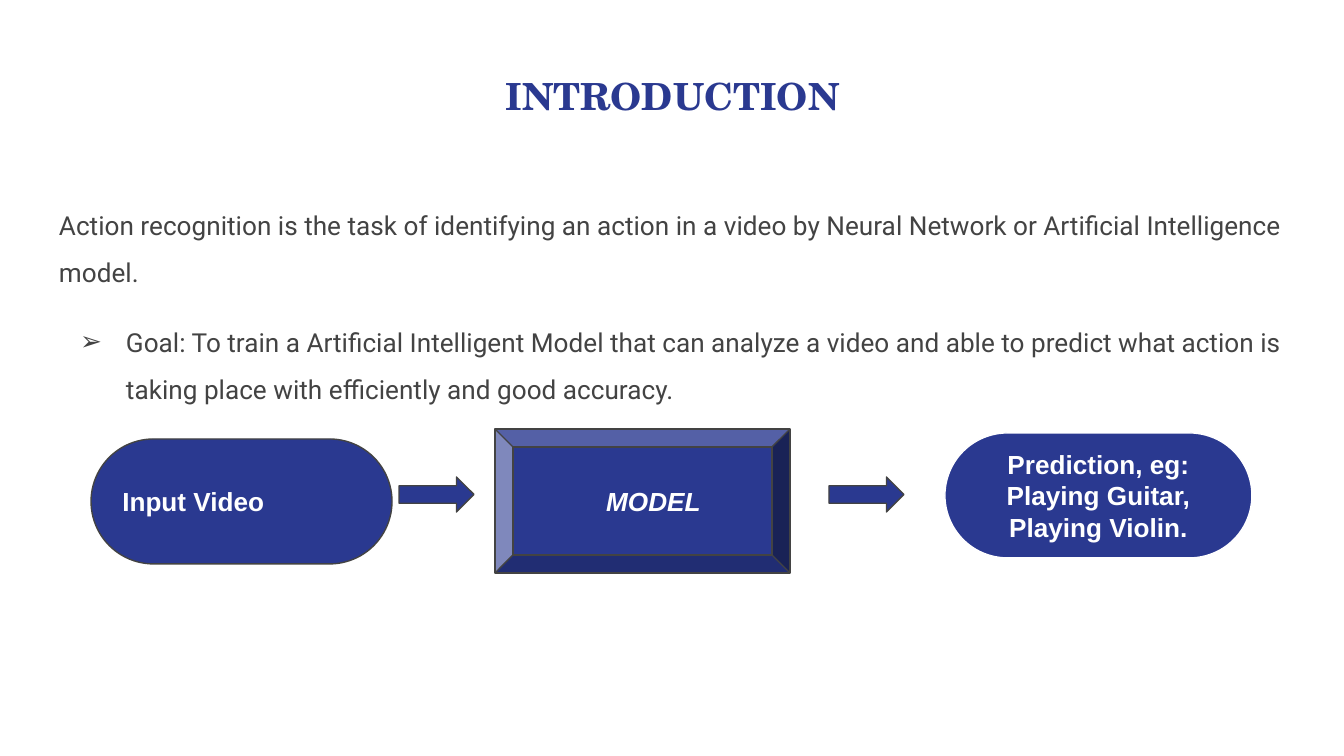
from lxml import etree
from pptx import Presentation
from pptx.dml.color import RGBColor
from pptx.enum.shapes import MSO_SHAPE as Shape
from pptx.enum.text import MSO_ANCHOR as Anchor, MSO_AUTO_SIZE as AutoSize, PP_ALIGN as Align
from pptx.oxml.ns import qn
from pptx.util import Emu, Pt

SLIDE_WIDTH, SLIDE_HEIGHT = 1344, 756
SCALE = 9144000 / SLIDE_WIDTH
INSET = 13

BLUE = RGBColor(0x2A, 0x39, 0x90)
GREY = RGBColor(0x43, 0x43, 0x43)
WHITE = RGBColor(0xFF, 0xFF, 0xFF)


def px(length):
    return Emu(round(length * SCALE))


def set_font(paragraph, name, size, color, bold=False, italic=False):
    font = paragraph.font
    font.name, font.size = name, Pt(size)
    font.bold, font.italic = bold, italic
    font.color.rgb = color


def set_frame(frame, anchor):
    frame.word_wrap = True
    frame.auto_size = AutoSize.NONE
    frame.vertical_anchor = anchor
    frame.margin_left = frame.margin_right = px(INSET)
    frame.margin_top = frame.margin_bottom = px(INSET)


def set_bullet(paragraph, character=None, left=0, hanging=0):
    """Give the paragraph its bullet and indents; no character means no bullet."""
    properties = paragraph._p.get_or_add_pPr()
    properties.set("marL", str(px(left)))
    properties.set("indent", str(px(-hanging)))
    if character is None:
        etree.SubElement(properties, qn("a:buNone"))
        return
    color = etree.SubElement(properties, qn("a:buClr"))
    etree.SubElement(color, qn("a:srgbClr"), val=str(GREY))
    etree.SubElement(properties, qn("a:buFont"), typeface="Roboto")
    etree.SubElement(properties, qn("a:buChar"), char=character)


def place(shape, left, top, width, height):
    shape.left, shape.top = px(left), px(top)
    shape.width, shape.height = px(width), px(height)


def fill_title(title, text):
    place(title, 46, 60, 1253, 89)
    set_frame(title.text_frame, Anchor.TOP)
    title.text_frame.text = text
    paragraph = title.text_frame.paragraphs[0]
    paragraph.alignment = Align.CENTER
    set_font(paragraph, "TeX Gyre Schola", 20, BLUE, bold=True)


def fill_body(body, introduction, goal):
    place(body, 46, 181, 1253, 491)
    frame = body.text_frame
    set_frame(frame, Anchor.TOP)
    frame.text = f"{introduction}\n{goal}"
    first, second = frame.paragraphs
    set_bullet(first)
    set_bullet(second, "➢", left=67, hanging=46)
    for paragraph, space_before in ((first, 0), (second, 12)):
        paragraph.alignment = Align.LEFT
        paragraph.line_spacing = 1.5
        paragraph.space_before = Pt(space_before)
        set_font(paragraph, "Roboto", 14, GREY)


def add_block(shapes, kind, box, adjustments, line_color=GREY):
    shape = shapes.add_shape(kind, *map(px, box))
    for index, value in enumerate(adjustments):
        shape.adjustments[index] = value
    shape.shadow.inherit = False
    shape.fill.solid()
    shape.fill.fore_color.rgb = BLUE
    shape.line.color.rgb = line_color
    shape.line.width = Pt(0.75)
    return shape


def add_label(shape, text, alignment=Align.CENTER, italic=False):
    frame = shape.text_frame
    set_frame(frame, Anchor.MIDDLE)
    frame.text = text
    paragraph = frame.paragraphs[0]
    paragraph.alignment = alignment
    set_font(paragraph, "Arial", 14, WHITE, bold=True, italic=italic)


def add_flow(slide):
    shapes = slide.shapes.add_group_shape().shapes
    video = add_block(shapes, Shape.ROUNDED_RECTANGLE, (91, 439, 301, 125), [0.5])
    add_label(video, "Input Video", Align.LEFT)

    model = add_block(shapes, Shape.BEVEL, (495, 429, 295, 144), [0.125])
    add_label(model, "MODEL", italic=True)
    model.text_frame.margin_left = px(INSET + 22)

    prediction = add_block(
        shapes, Shape.ROUNDED_RECTANGLE, (945, 433, 307, 125), [0.5], WHITE)
    add_label(prediction, "Prediction, eg: Playing Guitar, Playing Violin.")

    for left in (399, 829):
        add_block(shapes, Shape.RIGHT_ARROW, (left, 477, 75, 35), [0.5, 0.5])


def main():
    presentation = Presentation()
    presentation.slide_width = px(SLIDE_WIDTH)
    presentation.slide_height = px(SLIDE_HEIGHT)
    slide = presentation.slides.add_slide(presentation.slide_layouts[1])
    fill_title(slide.shapes.title, "INTRODUCTION")
    fill_body(
        slide.placeholders[1],
        "Action recognition is the task of identifying an action in a video "
        "by Neural Network or Artificial Intelligence model.",
        "Goal: To train a Artificial Intelligent Model that can analyze a video "
        "and able to predict what action is taking place with efficiently and "
        "good accuracy.",
    )
    add_flow(slide)
    presentation.save("out.pptx")


if __name__ == "__main__":
    main()
